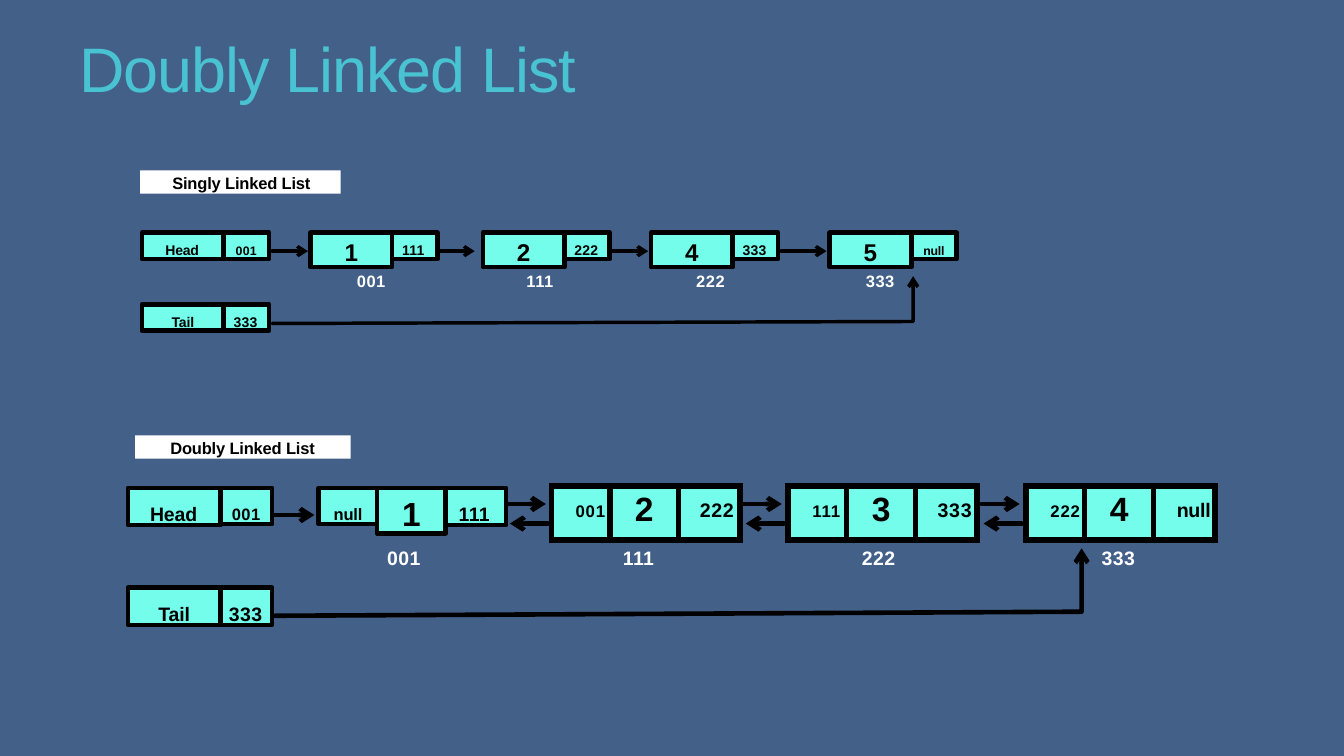
from collections import namedtuple

from lxml import etree
from pptx import Presentation
from pptx.dml.color import RGBColor
from pptx.enum import shapes, text
from pptx.oxml import ns
from pptx.util import Pt

BLUE = RGBColor(0x43, 0x60, 0x89)
TEAL = RGBColor(0x49, 0xC3, 0xD2)
MINT = RGBColor(0x73, 0xFD, 0xEA)
BLACK = RGBColor(0, 0, 0)
WHITE = RGBColor(0xFF, 0xFF, 0xFF)

# Text size, letter spacing and top inset, in points
Look = namedtuple("Look", "size gap top color bold", defaults=(BLACK, True))
TITLE = Look(44.9, -0.7, 0.7, TEAL, False)
BADGE = Look(11.8, -0.1, 2.2)

WORD = Look(10, -0.1, 6.5)
REF = Look(10, 0.2, 6.5)
TINY = Look(8.8, 0.2, 7.2)
NULL = Look(8.8, -0.1, 7.2)
NUM = Look(17.3, 0.7, 3.6)
MARK = Look(11.8, 0.4, 0.7, WHITE)

BIG_WORD = Look(13.9, -0.1, 10.1)
BIG_REF = Look(13.9, 0.3, 10.1)
BIG_TINY = Look(11.8, 0.4, 11.5)
BIG_NULL = Look(11.8, -0.1, 11.5)
BIG_NUM = Look(23.9, 0.9, 3.6)
BIG_MARK = Look(13.9, 0.3, 0.7, WHITE)

CELL_PREV = Look(12, 0.6, 11.5)
CELL_NUM = Look(24, 0, 3.6)
CELL_NEXT = Look(14, 0.5, 10.1)
CELL_NULL = Look(14, -0.2, 10.1)


class Sheet:
    """Holds the font and the current slide."""

    def __init__(self, deck, font="Arial"):
        """Add a title-only slide with a plain background."""
        self.font = font
        self.slide = deck.slides.add_slide(deck.slide_layouts[5])
        fill = self.slide.background.fill
        fill.solid()
        fill.fore_color.rgb = BLUE

    def put(self, host, frame, words, look, left=None):
        """Fill a frame; without a left inset the text is centred."""
        host.margin_left, host.margin_top = Pt(left or 0), Pt(look.top)
        host.margin_right = host.margin_bottom = 0
        host.vertical_anchor = text.MSO_ANCHOR.TOP
        frame.word_wrap = True
        frame.text = words
        para = frame.paragraphs[0]
        align = text.PP_ALIGN
        para.alignment = align.CENTER if left is None else align.LEFT
        run = para.runs[0]
        run.font.name, run.font.size = self.font, Pt(look.size)
        run.font.bold, run.font.color.rgb = look.bold, look.color
        run._r.get_or_add_rPr().set("spc", str(round(look.gap * 100)))

    def title(self, words, x, y, wide, high, left):
        """Move and format the title placeholder."""
        shape = self.slide.shapes.title
        shape.left, shape.top = Pt(x), Pt(y)
        shape.width, shape.height = Pt(wide), Pt(high)
        frame = shape.text_frame
        self.put(frame, frame, words, TITLE, left)
        frame.auto_size = text.MSO_AUTO_SIZE.NONE

    def box(self, words, x, y, wide, high, look, left=None, fill=MINT, edge=3.3):
        """Draw a filled rectangle with text."""
        shape = self.slide.shapes.add_shape(
            shapes.MSO_SHAPE.RECTANGLE, Pt(x), Pt(y), Pt(wide), Pt(high))
        shape.shadow.inherit = False
        shape.fill.solid()
        shape.fill.fore_color.rgb = fill
        if edge:
            shape.line.color.rgb, shape.line.width = BLACK, Pt(edge)
        else:
            shape.line.fill.background()
        self.put(shape.text_frame, shape.text_frame, words, look, left)

    def label(self, words, x, y, wide, high, look):
        """Set an address below a node."""
        frame = self.slide.shapes.add_textbox(
            Pt(x), Pt(y), Pt(wide), Pt(high)).text_frame
        self.put(frame, frame, words, look, 0.7)

    def tip(self, shape, weight):
        """Give a line its weight, colour and open arrowhead."""
        shape.line.color.rgb, shape.line.width = BLACK, Pt(weight)
        line = shape.line._get_or_add_ln()
        line.set("cap", "rnd")
        etree.SubElement(line, ns.qn("a:round"))
        etree.SubElement(line, ns.qn("a:tailEnd"), type="arrow")

    def arrow(self, start, end, y, weight):
        """Draw a level arrow."""
        shape = self.slide.shapes.add_connector(
            shapes.MSO_CONNECTOR.STRAIGHT, Pt(start), Pt(y), Pt(end), Pt(y))
        self.tip(shape, weight)
        etree.SubElement(shape._element.spPr, ns.qn("a:effectLst"))

    def bend(self, spots, weight):
        """Draw an arrow through the given points."""
        first, *rest = [(Pt(x), Pt(y)) for x, y in spots]
        outline = self.slide.shapes.build_freeform(*first)
        outline.add_line_segments(rest, close=False)
        shape = outline.convert_to_shape()
        shape.fill.background()
        shape.shadow.inherit = False
        self.tip(shape, weight)

    def node(self, cells, x, y, widths, high):
        """Draw a one-row table from (words, look, left) cells."""
        table = self.slide.shapes.add_table(
            1, len(cells), Pt(x), Pt(y), Pt(sum(widths)), Pt(high)).table
        table.first_row = table.horz_banding = False
        table.rows[0].height = Pt(high)
        for i, (words, look, left) in enumerate(cells):
            table.columns[i].width = Pt(widths[i])
            cell = table.cell(0, i)
            self.put(cell, cell.text_frame, words, look, left)
            cell.fill.solid()
            cell.fill.fore_color.rgb = MINT
            self.edge(cell, 4.5)

    def edge(self, cell, weight):
        """Give a table cell black borders."""
        props = cell._tc.get_or_add_tcPr()
        for i, side in enumerate("LRTB"):
            line = etree.Element(ns.qn("a:ln" + side), w=str(int(Pt(weight))))
            fill = etree.SubElement(line, ns.qn("a:solidFill"))
            etree.SubElement(fill, ns.qn("a:srgbClr"), val=str(BLACK))
            props.insert(i, line)


def single(sheet):
    """Draw the singly linked list."""
    thin, top, wide, slim, low = 2.47, 166.3, 58.3, 32.4, 18.7
    sheet.box("Singly Linked List", 100.1, 121.7, 143.3, 16.6, BADGE, 23, WHITE, 0)
    heads = [("Head", "001", top, 16.6, TINY, 8.6),
             ("Tail", "333", 217.4, None, REF, 7.2)]
    for name, ref, y, left, look, pad in heads:
        sheet.box(name, 101.5, y, wide, low, WORD, left)
        sheet.box(ref, 101.5 + wide, y, slim, low, look, pad)
    nodes = [("1", "111", "001", 221.8), ("2", "222", "111", 344.9),
             ("4", "333", "222", 465.1), ("5", "null", "333", 592.6)]
    for i, (value, ref, mark, x) in enumerate(nodes):
        look, left = (NULL, 8.6) if ref == "null" else (REF, 7.2)
        sheet.box(value, x, top, wide, 24.5, NUM)
        sheet.box(ref, x + wide, top, slim, low, look, left)
        sheet.label(mark, 254.2 + i * 121.2, 193, 22.5, 15.1, MARK)
    for start, end in [(194.4, 220), (314.6, 339.1), (437, 463), (558, 590.4)]:
        sheet.arrow(start, end, 179.4, thin)
    sheet.bend([(194.4, 231.1), (652.3, 229.7), (652.3, 197.3)], thin)


def double(sheet):
    """Draw the doubly linked list."""
    bold, top, low = 3.3, 348.5, 26.6
    sheet.box("Doubly Linked List", 96.5, 311, 154.1, 16.6, BADGE, 25.2, WHITE, 0)
    heads = [("Head", "001", top, 15.8, BIG_TINY, 7.9, 25.9),
             ("Tail", "333", 419.8, None, BIG_REF, 5.8, low)]
    for name, ref, y, left, look, pad, high in heads:
        sheet.box(name, 91.4, y, 66.2, low, BIG_WORD, left)
        sheet.box(ref, 157.7, y, 36.7, high, look, pad)
    sheet.box("null", 227.5, top, 41.8, 25.9, BIG_NULL, 10.8)
    sheet.box("1", 269.3, top, 49, 32.4, BIG_NUM)
    sheet.box("111", 318.2, top, 43.2, low, BIG_REF, 9.4)
    nodes = [("001", "2", "222", 393.8, 15.1), ("111", "3", "333", 563, 15.8),
             ("222", "4", "null", 733, 16.6)]
    for prev, value, ref, x, left in nodes:
        look = CELL_NULL if ref == "null" else CELL_NEXT
        cells = [(prev, CELL_PREV, 17.3), (value, CELL_NUM, None), (ref, look, left)]
        sheet.node(cells, x, 347, (41.8, 49.2, 43.9), 38.9)
    marks = [("001", 275.8), ("111", 444.2), ("222", 614.9), ("333", 786.2)]
    for mark, x in marks:
        sheet.label(mark, x, 389.6, 26, 17.3, BIG_MARK)
    sheet.arrow(195.8, 224.6, 367.9, bold)
    for x in (362.9, 531.4, 701.3):
        sheet.arrow(x, x + 27, 360, bold)
        sheet.arrow(x + 28.5, x + 1.3, 374, bold)
    sheet.bend([(196.6, 439.9), (772.6, 437), (772.6, 391.7)], bold)


deck = Presentation()
deck.slide_width, deck.slide_height = Pt(960), Pt(540)
page = Sheet(deck)
page.title("Doubly Linked List", 15.8, 20.2, 551.5, 55.4, 41)
single(page)
double(page)
deck.save("out.pptx")
